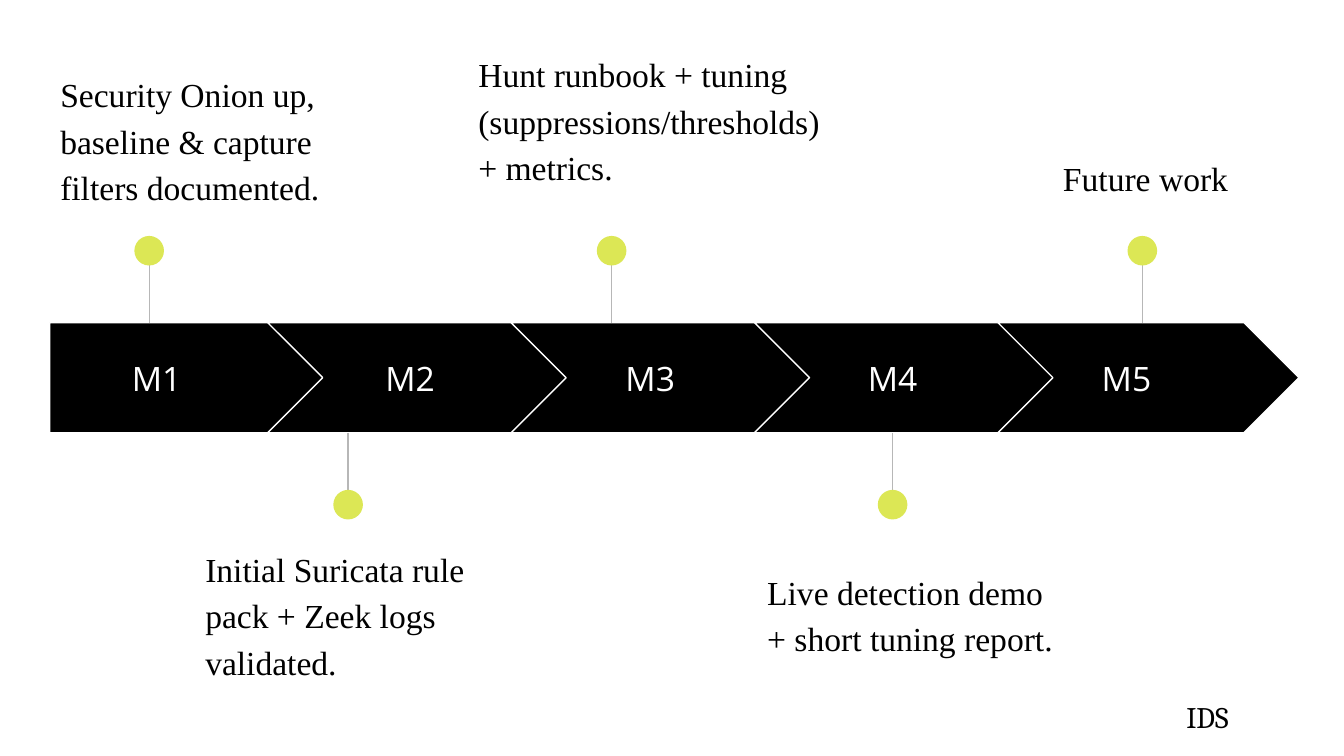
from lxml import etree
from pptx import Presentation
from pptx.dml.color import RGBColor
from pptx.enum.shapes import MSO_CONNECTOR, MSO_SHAPE
from pptx.enum.text import MSO_ANCHOR, PP_ALIGN
from pptx.oxml.ns import qn
from pptx.util import Cm, Pt

PENTAGON, CHEVRON, OVAL = MSO_SHAPE.PENTAGON, MSO_SHAPE.CHEVRON, MSO_SHAPE.OVAL
STRAIGHT = MSO_CONNECTOR.STRAIGHT
LEFT, CENTER = PP_ALIGN.LEFT, PP_ALIGN.CENTER
TOP, MIDDLE = MSO_ANCHOR.TOP, MSO_ANCHOR.MIDDLE

BLACK, WHITE, LIME, GRAY = "000000", "FFFFFF", "DCE755", "B7B7B7"

# Lengths in centimetres: label and pin give centre x; note box is left, top, width, height.
MILESTONES = [
    dict(name="M1", label=2.96, pin=2.82, above=True, box=(0.89, 1.04, 5.69, 2.51),
         note="Security Onion up, baseline & capture filters documented."),
    dict(name="M2", label=7.75, pin=6.58, above=False, box=(3.63, 10.01, 6.22, 2.51),
         note="Initial Suricata rule pack + Zeek logs validated."),
    dict(name="M3", label=12.29, pin=11.56, above=True, box=(8.79, 0.66, 7.01, 3.63),
         note="Hunt runbook + tuning (suppressions/thresholds) + metrics."),
    dict(name="M4", label=16.87, pin=16.87, above=False, box=(14.25, 10.44, 6.22, 2.51),
         note="Live detection demo + short tuning report."),
    dict(name="M5", label=21.29, pin=21.59, above=True, box=(19.84, 2.62, 3.68, 1.5),
         note="Future work"),
]
FOOTER = "IDS"

BAR_LEFT, BAR_TOP, BAR_HEIGHT = 0.94, 6.1, 2.08
FIRST_WIDTH, CHEVRON_LEFT, CHEVRON_WIDTH, PITCH = 5.21, 5.06, 5.69, 4.6
LABEL_WIDTH, LABEL_HEIGHT = 3.66, 1.3
PIN_LENGTH, DOT = 1.36, 0.56


def color(value):
    return RGBColor.from_string(value)


def add_shape(slide, kind, left, top, width, height, fill, line=None):
    shape = slide.shapes.add_shape(kind, Cm(left), Cm(top), Cm(width), Cm(height))
    shape.shadow.inherit = False
    shape.fill.solid()
    shape.fill.fore_color.rgb = color(fill)
    if line:
        shape.line.color.rgb = color(line)
        shape.line.width = Pt(0.75)
    else:
        shape.line.fill.background()
    return shape


def add_text(slide, text, box, *, font="Times New Roman", size=18, ink=BLACK,
             align=LEFT, anchor=TOP, spacing=1.0):
    frame = slide.shapes.add_textbox(*map(Cm, box)).text_frame
    frame.word_wrap = True
    frame.vertical_anchor = anchor
    frame.margin_left = frame.margin_right = Cm(0.25)
    frame.margin_top = frame.margin_bottom = Cm(0.25)
    paragraph = frame.paragraphs[0]
    paragraph.alignment = align
    paragraph.line_spacing = spacing
    run = paragraph.add_run()
    run.text = text
    run.font.name = font
    run.font.size = Pt(size)
    run.font.color.rgb = color(ink)


def add_pin(slide, x, above):
    """Draw a stem from the bar to a dot above or below it."""
    start = BAR_TOP if above else BAR_TOP + BAR_HEIGHT
    end = start - PIN_LENGTH if above else start + PIN_LENGTH
    stem = slide.shapes.add_connector(STRAIGHT, Cm(x), Cm(start), Cm(x), Cm(end))
    stem.line.color.rgb = color(GRAY)
    stem.line.width = Pt(0.75)
    etree.SubElement(stem._element.spPr, qn("a:effectLst"))
    add_shape(slide, OVAL, x - DOT / 2, end - DOT / 2, DOT, DOT, LIME)


def add_milestone(slide, index, milestone):
    if index == 0:
        kind, left, width = PENTAGON, BAR_LEFT, FIRST_WIDTH
    else:
        kind, left, width = CHEVRON, CHEVRON_LEFT + (index - 1) * PITCH, CHEVRON_WIDTH
    arrow = add_shape(slide, kind, left, BAR_TOP, width, BAR_HEIGHT, BLACK, line=WHITE)
    arrow.adjustments[0] = 0.5
    label_box = (milestone["label"] - LABEL_WIDTH / 2,
                 BAR_TOP + (BAR_HEIGHT - LABEL_HEIGHT) / 2, LABEL_WIDTH, LABEL_HEIGHT)
    add_text(slide, milestone["name"], label_box, font="Open Sans", ink=WHITE,
             align=CENTER, anchor=MIDDLE)
    add_pin(slide, milestone["pin"], milestone["above"])
    add_text(slide, milestone["note"], milestone["box"], spacing=1.15)


def main():
    presentation = Presentation()
    presentation.slide_width, presentation.slide_height = Cm(25.4), Cm(14.29)
    slide = presentation.slides.add_slide(presentation.slide_layouts[6])
    for index, milestone in enumerate(MILESTONES):
        add_milestone(slide, index, milestone)
    add_text(slide, FOOTER, (22.17, 12.95, 2.9, 1.12), font="Cambria", size=16)
    presentation.save("out.pptx")


if __name__ == "__main__":
    main()
